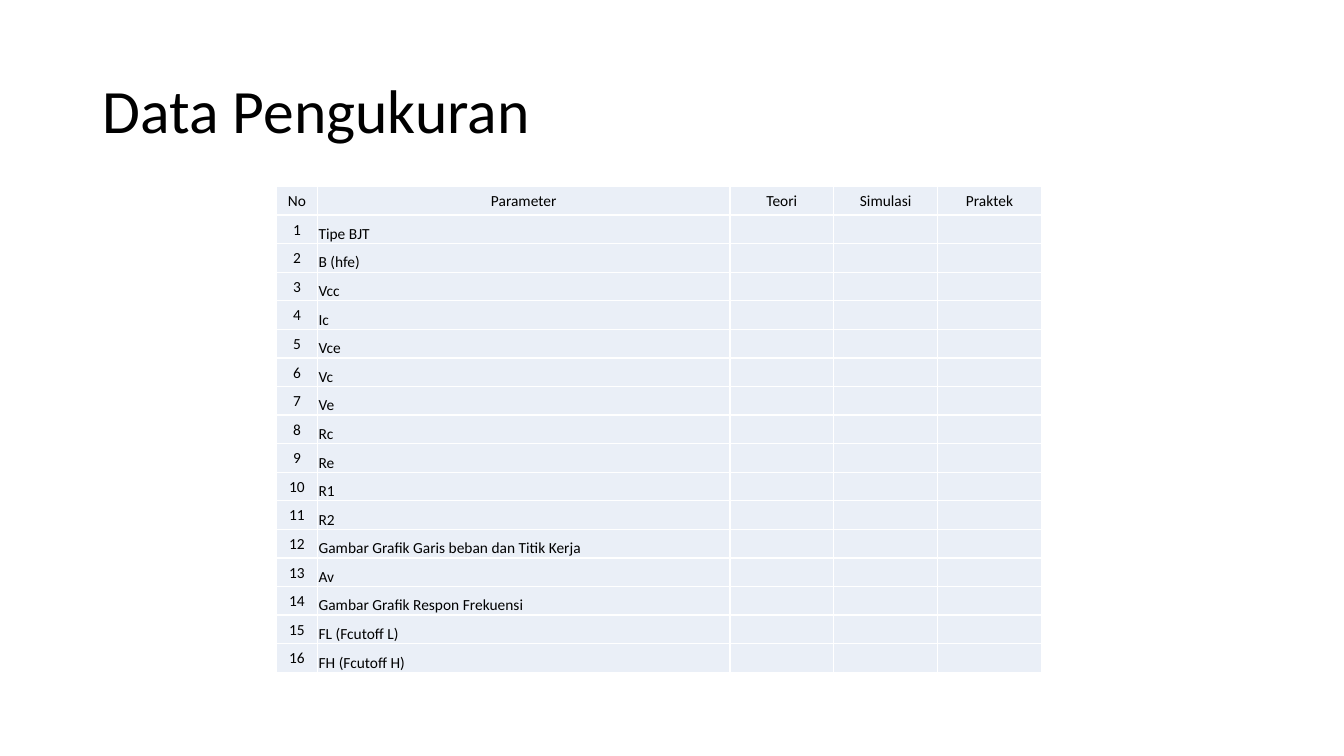
from dataclasses import dataclass

from lxml.etree import SubElement
from pptx import Presentation
from pptx.dml.color import RGBColor
from pptx.enum.text import MSO_ANCHOR, PP_ALIGN
from pptx.oxml.ns import qn
from pptx.util import Inches, Pt


@dataclass(frozen=True)
class Theme:
    font: str = "Calibri"
    ink: str = "000000"
    cell_fill: str = "EAEFF7"
    border: str = "FFFFFF"
    border_width: float = 1
    title_size: float = 44
    table_size: float = 11


HEADINGS = ["No", "Parameter", "Teori", "Simulasi", "Praktek"]
PARAMETERS = [
    "Tipe BJT", "B (hfe)", "Vcc", "Ic", "Vce", "Vc", "Ve", "Rc", "Re", "R1", "R2",
    "Gambar Grafik Garis beban dan Titik Kerja", "Av",
    "Gambar Grafik Respon Frekuensi", "FL (Fcutoff L)", "FH (Fcutoff H)",
]
COLUMN_WIDTHS = [0.41, 4.09, 1.03, 1.03, 1.03]
TABLE_HEIGHT = 4.82


def write_text(frame, text, *, font, size, color, align=PP_ALIGN.LEFT, spacing=None):
    """Fill the first paragraph; an empty one still keeps its type size."""
    paragraph = frame.paragraphs[0]
    paragraph.alignment = align
    if spacing:
        paragraph.line_spacing = spacing
    if not text:
        SubElement(paragraph._p, qn("a:endParaRPr"), sz=str(int(size * 100)))
        return
    span = paragraph.add_run()
    span.text = text
    span.font.name = font
    span.font.size = Pt(size)
    span.font.color.rgb = RGBColor.from_string(color)


class SlideBuilder:
    def __init__(self, page, theme):
        self.page = page
        self.theme = theme

    def title(self, text, left, top, width, height):
        box = self.page.shapes.add_textbox(
            Inches(left), Inches(top), Inches(width), Inches(height))
        frame = box.text_frame
        frame.word_wrap = True
        frame.vertical_anchor = MSO_ANCHOR.MIDDLE
        write_text(frame, text, font=self.theme.font, size=self.theme.title_size,
                   color=self.theme.ink, spacing=0.9)

    def table(self, rows, left, top, widths, height):
        frame = self.page.shapes.add_table(
            len(rows), len(widths), Inches(left), Inches(top),
            Inches(sum(widths)), Inches(height))
        table = frame.table
        table.horz_banding = False
        table.first_row = False
        for column, width in zip(table.columns, widths):
            column.width = Inches(width)
        for row_index, values in enumerate(rows):
            table.rows[row_index].height = Inches(height / len(rows))
            for column_index, value in enumerate(values):
                is_name = row_index > 0 and column_index == 1
                self.cell(table.cell(row_index, column_index), value, is_name)

    def cell(self, cell, text, is_name):
        """Parameter names sit bottom left; all other cells are centred."""
        cell.margin_left = cell.margin_right = cell.margin_top = Inches(0.01)
        cell.margin_bottom = 0
        cell.vertical_anchor = MSO_ANCHOR.BOTTOM if is_name else MSO_ANCHOR.MIDDLE
        self.borders(cell)
        cell.fill.solid()
        cell.fill.fore_color.rgb = RGBColor.from_string(self.theme.cell_fill)
        write_text(cell.text_frame, text, font=self.theme.font,
                   size=self.theme.table_size, color=self.theme.ink,
                   align=PP_ALIGN.LEFT if is_name else PP_ALIGN.CENTER)

    def borders(self, cell):
        properties = cell._tc.get_or_add_tcPr()
        for side in ("lnL", "lnR", "lnT", "lnB"):
            line = SubElement(properties, qn(f"a:{side}"),
                              w=str(Pt(self.theme.border_width)))
            fill = SubElement(line, qn("a:solidFill"))
            SubElement(fill, qn("a:srgbClr"), val=self.theme.border)


def main():
    deck = Presentation()
    deck.slide_width = Inches(13.33)
    deck.slide_height = Inches(7.5)
    page = deck.slides.add_slide(deck.slide_layouts[6])
    builder = SlideBuilder(page, Theme())
    builder.title("Data Pengukuran", 0.92, 0.4, 11.5, 1.45)
    rows = [HEADINGS] + [
        [str(number), name, "", "", ""]
        for number, name in enumerate(PARAMETERS, start=1)
    ]
    builder.table(rows, 2.74, 1.85, COLUMN_WIDTHS, TABLE_HEIGHT)
    deck.save("out.pptx")


if __name__ == "__main__":
    main()
